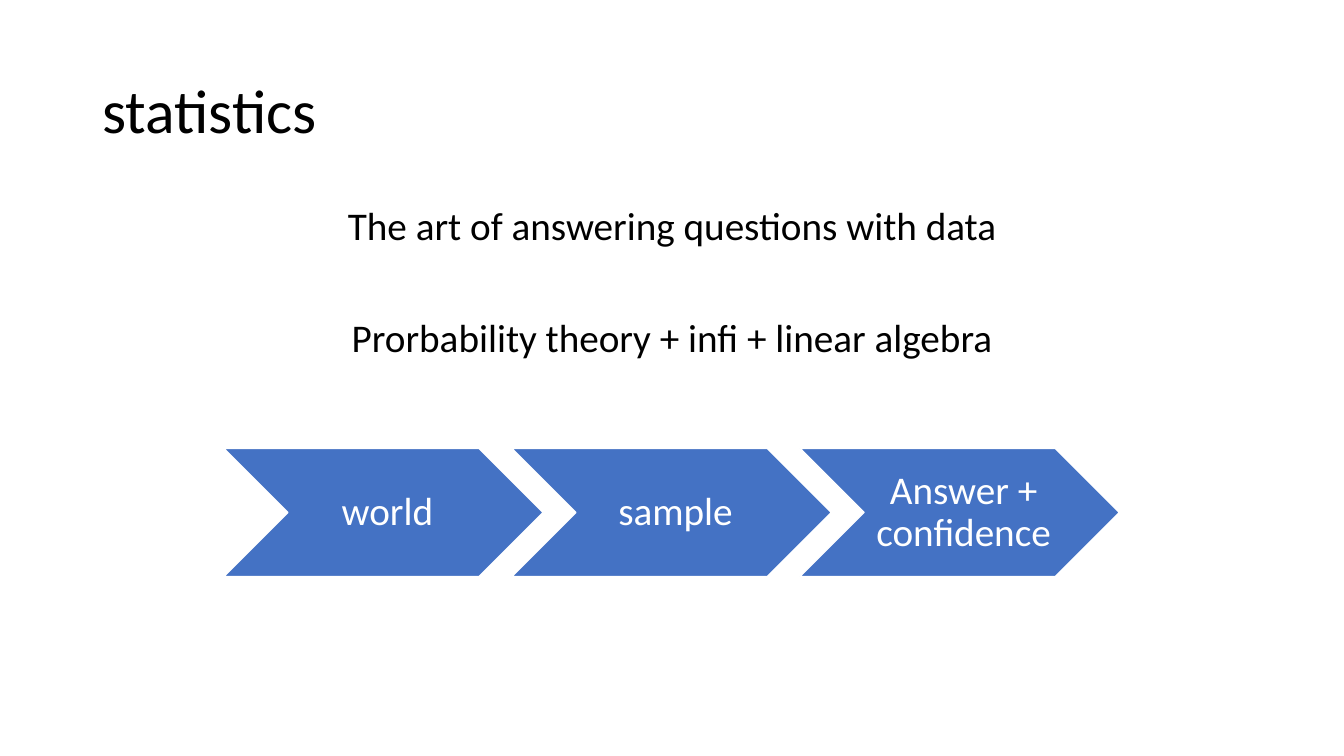
"""Builds the statistics slide: a title, two statements and a three-step chevron flow."""
from pptx import Presentation
from pptx.dml.color import RGBColor
from pptx.enum.shapes import MSO_SHAPE
from pptx.enum.text import MSO_ANCHOR, PP_ALIGN
from pptx.util import Cm, Pt

TITLE = "statistics"
STATEMENTS = [
    "The art of answering questions with data",
    "Prorbability theory + infi + linear algebra",
]
STEPS = ["world", "sample", "Answer + confidence"]

FONT = "Calibri"
BLACK, WHITE, BLUE = "000000", "FFFFFF", "4472C4"
MARGIN, CONTENT_WIDTH = 2.33, 29.21
STEP_LEFT, STEP_TOP, STEP_WIDTH, STEP_HEIGHT = 5.64, 11.3, 8.05, 3.23
STEP_PITCH = 7.26


def color(code):
    return RGBColor.from_string(code)


def style(para, text, size, code, align):
    para.text = text
    para.alignment = align
    para.line_spacing = 0.9
    para.font.name = FONT
    para.font.size = Pt(size)
    para.font.color.rgb = color(code)


def add_box(page, top, height, anchor):
    box = page.shapes.add_textbox(Cm(MARGIN), Cm(top), Cm(CONTENT_WIDTH), Cm(height))
    frame = box.text_frame
    frame.word_wrap = True
    frame.vertical_anchor = anchor
    return frame


def add_step(page, index, text):
    step = page.shapes.add_shape(
        MSO_SHAPE.CHEVRON, Cm(STEP_LEFT + index * STEP_PITCH), Cm(STEP_TOP),
        Cm(STEP_WIDTH), Cm(STEP_HEIGHT))
    step.shadow.inherit = False
    step.fill.solid()
    step.fill.fore_color.rgb = color(BLUE)
    step.line.color.rgb = color(WHITE)
    step.line.width = Pt(1)
    frame = step.text_frame
    frame.word_wrap = True
    frame.vertical_anchor = MSO_ANCHOR.MIDDLE
    frame.margin_left = Cm(0.3)
    frame.margin_right = frame.margin_top = frame.margin_bottom = Cm(0.1)
    style(frame.paragraphs[0], text, 28, WHITE, PP_ALIGN.CENTER)


def main():
    deck = Presentation()
    deck.slide_width, deck.slide_height = Cm(33.87), Cm(19.05)
    page = deck.slides.add_slide(deck.slide_layouts[6])

    title = add_box(page, 1.01, 3.68, MSO_ANCHOR.MIDDLE)
    style(title.paragraphs[0], TITLE, 44, BLACK, PP_ALIGN.LEFT)

    body = add_box(page, 5.07, 12.09, MSO_ANCHOR.TOP)
    for index, statement in enumerate(STATEMENTS):
        para = body.add_paragraph() if index else body.paragraphs[0]
        style(para, statement, 28, BLACK, PP_ALIGN.CENTER)
        para.space_before = Pt(50 if index else 10)

    for index, text in enumerate(STEPS):
        add_step(page, index, text)

    deck.save("out.pptx")


if __name__ == "__main__":
    main()
